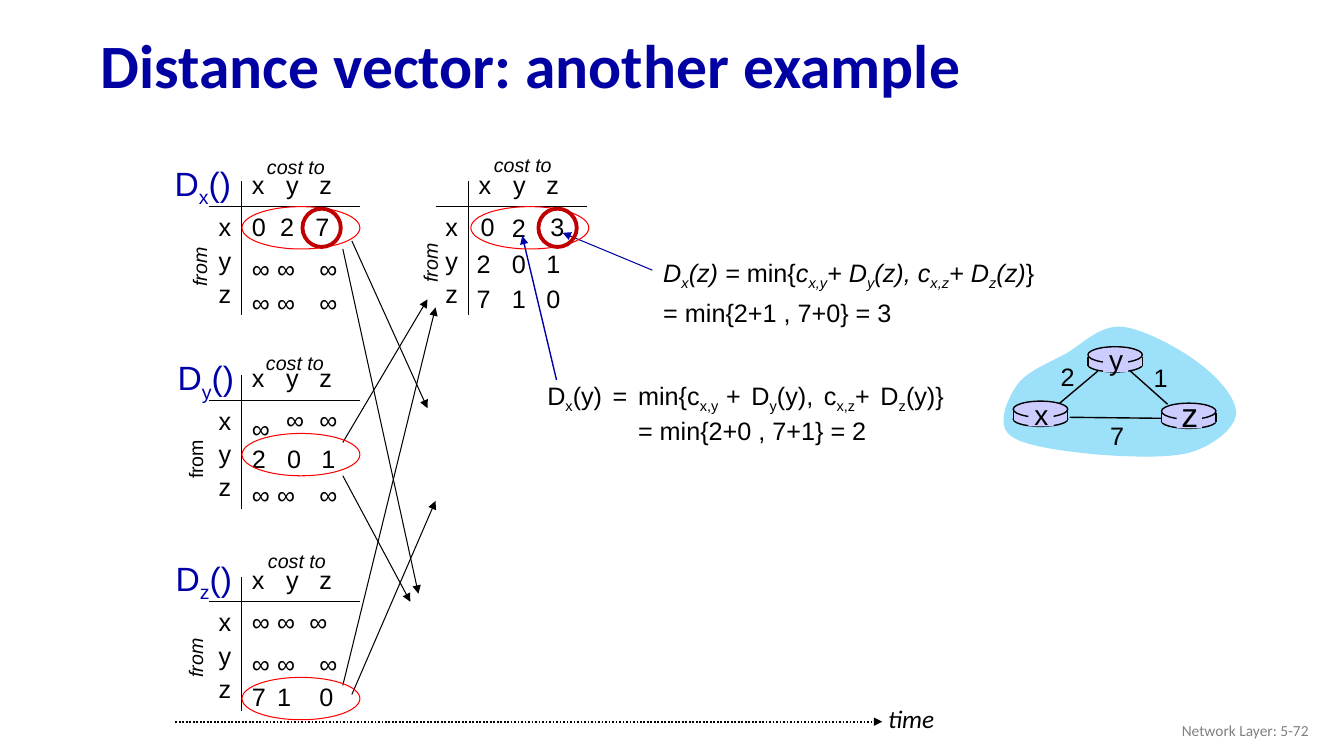
import pptx
import pptx.dml.color
import pptx.enum.dml
import pptx.enum.shapes
import pptx.enum.text
import pptx.oxml
import pptx.oxml.ns
import pptx.shapes.connector
import pptx.util

Inches = pptx.util.Inches
Pt = pptx.util.Pt
color = pptx.dml.color.RGBColor.from_string
SHAPE = pptx.enum.shapes.MSO_SHAPE
STRAIGHT = pptx.enum.shapes.MSO_CONNECTOR.STRAIGHT
ALIGN = pptx.enum.text.PP_ALIGN
ANCHOR = pptx.enum.text.MSO_ANCHOR
AUTO_SIZE = pptx.enum.text.MSO_AUTO_SIZE

BLACK, BLUE, RED, DARK_RED, LILAC = "000000", "0000A8", "FF0000", "C00000", "CCCCFF"

presentation = pptx.Presentation()
presentation.slide_width = Inches(13.33)
presentation.slide_height = Inches(7.5)
slide = presentation.slides.add_slide(presentation.slide_layouts[5])
shapes = slide.shapes


def text(content, left, top, width, height, size=18, font="Arial", ink=BLACK, bold=False,
         italic=False, align=ALIGN.LEFT, anchor=ANCHOR.TOP, spacing=None, wrap=False,
         rotation=0, tabs=(), box=None):
    """Paragraphs split at newlines, line breaks at \\v; _x_ is subscript, *x* swaps italics."""
    if box is None:
        box = shapes.add_textbox(0, 0, 0, 0)
    box.left, box.top, box.width, box.height = map(Inches, (left, top, width, height))
    box.rotation = rotation
    frame = box.text_frame
    frame.word_wrap = wrap
    frame.auto_size = AUTO_SIZE.NONE if bold else AUTO_SIZE.SHAPE_TO_FIT_TEXT
    frame.vertical_anchor = anchor
    for number, sentence in enumerate(content.split("\n")):
        paragraph = frame.add_paragraph() if number else frame.paragraphs[0]
        paragraph.alignment = align
        paragraph.line_spacing = spacing
        if tabs:
            stops = pptx.oxml.ns.qn("a:tabLst")
            tab_list = paragraph._p.get_or_add_pPr().makeelement(stops)
            for position in tabs:
                stop = tab_list.makeelement(pptx.oxml.ns.qn("a:tab"),
                                            {"pos": str(Inches(position)), "algn": "l"})
                tab_list.append(stop)
            paragraph._p.get_or_add_pPr().append(tab_list)
        for row_number, row in enumerate(sentence.split("\v")):
            if row_number:
                paragraph.add_line_break()
            for swap, styled in enumerate(row.split("*")):
                for level, piece in enumerate(styled.split("_")):
                    if not piece:
                        continue
                    run = paragraph.add_run()
                    run.text = piece
                    run.font.name, run.font.size = font, Pt(size)
                    run.font.bold = bold
                    run.font.italic = italic != bool(swap % 2)
                    run.font.color.rgb = color(ink)
                    if level % 2:
                        run.font._element.set("baseline", "-25000")


def finish(shape, line=None, width=1, fill=None, arrow=False):
    """Set outline, fill and arrowhead, and remove the shadow."""
    if line:
        shape.line.color.rgb = color(line)
        shape.line.width = Pt(width)
    else:
        shape.line.fill.background()
    if isinstance(shape, pptx.shapes.connector.Connector):
        effects = pptx.oxml.ns.qn("a:effectLst")
        shape._element.spPr.append(shape._element.makeelement(effects))
    else:
        shape.shadow.inherit = False
        if fill:
            shape.fill.solid()
            shape.fill.fore_color.rgb = color(fill)
        else:
            shape.fill.background()
    if arrow:
        outline = shape.line._get_or_add_ln()
        outline.append(outline.makeelement(pptx.oxml.ns.qn("a:tailEnd"), {"type": "triangle"}))


# Title and footer
text("Distance vector: another example", 0.9, 0.19, 11.91, 0.98, size=44, font="Calibri",
     ink="0000A3", bold=True, anchor=ANCHOR.MIDDLE, spacing=0.9, wrap=True, box=shapes.title)
text("Network Layer: 5-72", 10.08, 7.05, 3, 0.4, size=11, font="Calibri", ink="808080",
     align=ALIGN.RIGHT, anchor=ANCHOR.MIDDLE, wrap=True)

# Frames of the distance tables: rule corner, "cost to" place, "from" place and slant
distance_tables = [
    (2.4, 1.8, (2.55, 1.49), (1.68, 2.48), True),
    (4.65, 1.8, (4.8, 1.47), (3.97, 2.44), True),
    (2.4, 3.72, (2.54, 3.43), (1.64, 4.39), False),
    (2.4, 5.72, (2.56, 5.4), (1.64, 6.36), True),
]
for left, top, cost_place, from_place, slanted in distance_tables:
    for ends in [(left, top, left, top + 1.33),
                 (left - 0.33, top + 0.25, left + 1.17, top + 0.25)]:
        finish(shapes.add_connector(STRAIGHT, *map(Inches, ends)), BLACK, 0.75)
    text("x\ty\tz", left, top - 0.17, 1.2, 0.4, wrap=True, tabs=(0.34, 0.67))
    for index, node in enumerate("xyz"):
        text(node, left - 0.33, top + 0.25 + 0.33 * index, 0.33, 0.4)
    text("cost to", *cost_place, 0.9, 0.33, size=14, italic=True, wrap=True)
    text("from", *from_place, 0.59, 0.33, size=14, italic=slanted, rotation=270)

for node, left, top in [("x", 1.61, 1.59), ("y", 1.64, 3.52), ("z", 1.62, 5.51)]:
    text(f"D_{node}_()", left, top, 0.78, 0.44, size=24, ink=BLUE, align=ALIGN.RIGHT, spacing=0.85)

# Rows with one box per value
value_columns = (2.4, 2.65, 3.07)
for top, values in [(2.46, "∞∞∞"), (2.8, "∞∞∞"), (4.71, "∞∞∞"), (6.38, "∞∞∞"), (6.71, "710")]:
    for left, value in zip(value_columns, values):
        text(value, left, top, 0.38, 0.4)
for value, left, top in [("∞", 2.74, 3.96), ("∞", 3.07, 3.96),
                         ("0", 4.67, 2.05), ("2", 4.98, 2.06), ("3", 5.36, 2.05)]:
    text(value, left, top, 0.36, 0.4)

# Rows set with tab stops
for row, left, top, height, stops in [
    ("0\t2\t7", 2.4, 2.05, 0.4, (0.28, 0.63)),
    ("∞\n2\t0\t1", 2.4, 4.05, 0.7, (0.35, 0.69)),
    ("∞\t∞\t∞", 2.4, 5.97, 0.4, (0.25, 0.57)),
    ("2\t0\t1", 4.63, 2.41, 0.4, (0.35, 0.69)),
    ("7\t1\t0", 4.63, 2.76, 0.4, (0.35, 0.69)),
]:
    text(row, left, top, 1.2, height, wrap=True, tabs=stops)

# Exchanged vectors and pointers to the two computed costs
for ends, ink, width in [
    ((3.49, 2.39, 4.24, 4.05), BLACK, 0.75),
    ((3.4, 2.47, 4.15, 5.89), BLACK, 0.75),
    ((3.4, 4.39, 4.24, 2.97), BLACK, 0.75),
    ((3.4, 4.72, 4.07, 5.97), BLACK, 0.75),
    ((3.4, 6.8, 4.32, 3.05), BLACK, 0.75),
    ((3.49, 6.89, 4.32, 4.97), BLACK, 0.75),
    ((5.52, 3.77, 5.18, 2.34), BLUE, 1),
    ((6.47, 2.68, 5.58, 2.31), BLUE, 0.75),
]:
    finish(shapes.add_connector(STRAIGHT, *map(Inches, ends)), ink, width, arrow=True)

time_axis = shapes.add_connector(STRAIGHT, *map(Inches, (1.74, 7.16, 8.75, 7.16)))
time_axis.line.dash_style = pptx.enum.dml.MSO_LINE.ROUND_DOT
finish(time_axis, BLACK, 1.25, arrow=True)
text("time", 8.71, 6.93, 0.67, 0.4, font="Calibri", italic=True)

# Rings around rows and cells
for left, top, width, height, ink, weight in [
    (2.4, 2.05, 1.17, 0.42, RED, 0.75),
    (2.4, 4.3, 1.17, 0.42, RED, 0.75),
    (2.4, 6.72, 1.17, 0.42, RED, 0.75),
    (4.67, 2.05, 1.17, 0.42, RED, 0.75),
    (3, 2.07, 0.38, 0.38, DARK_RED, 2.75),
    (5.34, 2.07, 0.38, 0.38, DARK_RED, 2.75),
]:
    ring = shapes.add_shape(SHAPE.OVAL, *map(Inches, (left, top, width, height)))
    finish(ring, ink, weight)

# Formulas
text("D_x_(y) = min{c_x,y _+ D_y_(y), c_x,z_+ D_z_(y)}\v\t= min{2+0 , 7+1} = 2",
     5.33, 3.74, 4.13, 0.71, align=ALIGN.JUSTIFY, anchor=ANCHOR.MIDDLE, wrap=True, tabs=(0.9,))
text("D_x_(z) = *min{*c_x,y_+ D_y_(z), c_x,z_+ D_z_(z)*}*\n*= min{2+1 , 7+0} = 3*",
     6.48, 2.47, 4, 0.79, italic=True, anchor=ANCHOR.MIDDLE, spacing=1.2, wrap=True)

# Network cloud: each curve has two control points and an end point
cloud_start = (10.08, 3.83)
cloud_curves = [
    ((10.17, 3.69), (10.4, 3.6), (10.57, 3.51)), ((10.74, 3.41), (10.9, 3.23), (11.12, 3.24)),
    ((11.34, 3.26), (11.71, 3.46), (11.9, 3.61)), ((12.09, 3.75), (12.27, 3.96), (12.26, 4.11)),
    ((12.24, 4.26), (12.03, 4.42), (11.8, 4.49)), ((11.57, 4.55), (11.18, 4.53), (10.89, 4.51)),
    ((10.59, 4.48), (10.15, 4.43), (10.02, 4.32)), ((9.88, 4.21), (9.99, 3.96), (10.08, 3.83)),
]
cloud_points, start = [], cloud_start
for first, second, end in cloud_curves:
    for t in (step / 12 for step in range(1, 13)):
        cloud_points.append([
            Inches(a * (1 - t) ** 3 + 3 * b * t * (1 - t) ** 2 + 3 * c * t ** 2 * (1 - t) + d * t ** 3)
            for a, b, c, d in zip(start, first, second, end)])
    start = end
cloud = shapes.build_freeform(*map(Inches, cloud_start), scale=1.0)
cloud.add_line_segments(cloud_points, close=True)
finish(cloud.convert_to_shape(), fill="9CE0FA")

# Links with their costs, then the routers
for ends, cost, left, top in [((10.51, 4, 10.89, 3.68), "2", 10.42, 3.54),
                              ((11.21, 3.68, 11.58, 4.01), "1", 11.34, 3.55),
                              ((11.54, 4.15, 10.61, 4.14), "7", 10.91, 4.12)]:
    finish(shapes.add_connector(STRAIGHT, *map(Inches, ends)), BLACK)
    text(cost, left, top, 0.34, 0.4, align=ALIGN.CENTER)

for node, left, top, size, label_top, label_height in [
    ("x", 10.05, 3.98, 20, 3.89, 0.43),
    ("z", 11.52, 4, 24, 3.86, 0.5),
    ("y", 10.79, 3.44, 20, 3.35, 0.43),
]:
    for kind, dx, dy, width, height, ink in [
        (SHAPE.OVAL, 0, 0.11, 0.54, 0.14, BLACK),
        (SHAPE.RECTANGLE, 0, 0.1, 0.54, 0.09, None),
        (SHAPE.OVAL, 0, 0, 0.54, 0.16, BLACK),
        (SHAPE.RECTANGLE, 0.15, 0.02, 0.25, 0.23, None),
    ]:
        part = shapes.add_shape(kind, *map(Inches, (left + dx, top + dy, width, height)))
        finish(part, ink, fill=LILAC)
    for side in (left, left + 0.54):
        ends = (side, top + 0.1, side, top + 0.19)
        finish(shapes.add_connector(STRAIGHT, *map(Inches, ends)), BLACK)
    text(node, left + 0.1, label_top, 0.36, label_height, size=size, align=ALIGN.CENTER)

presentation.save("out.pptx")
